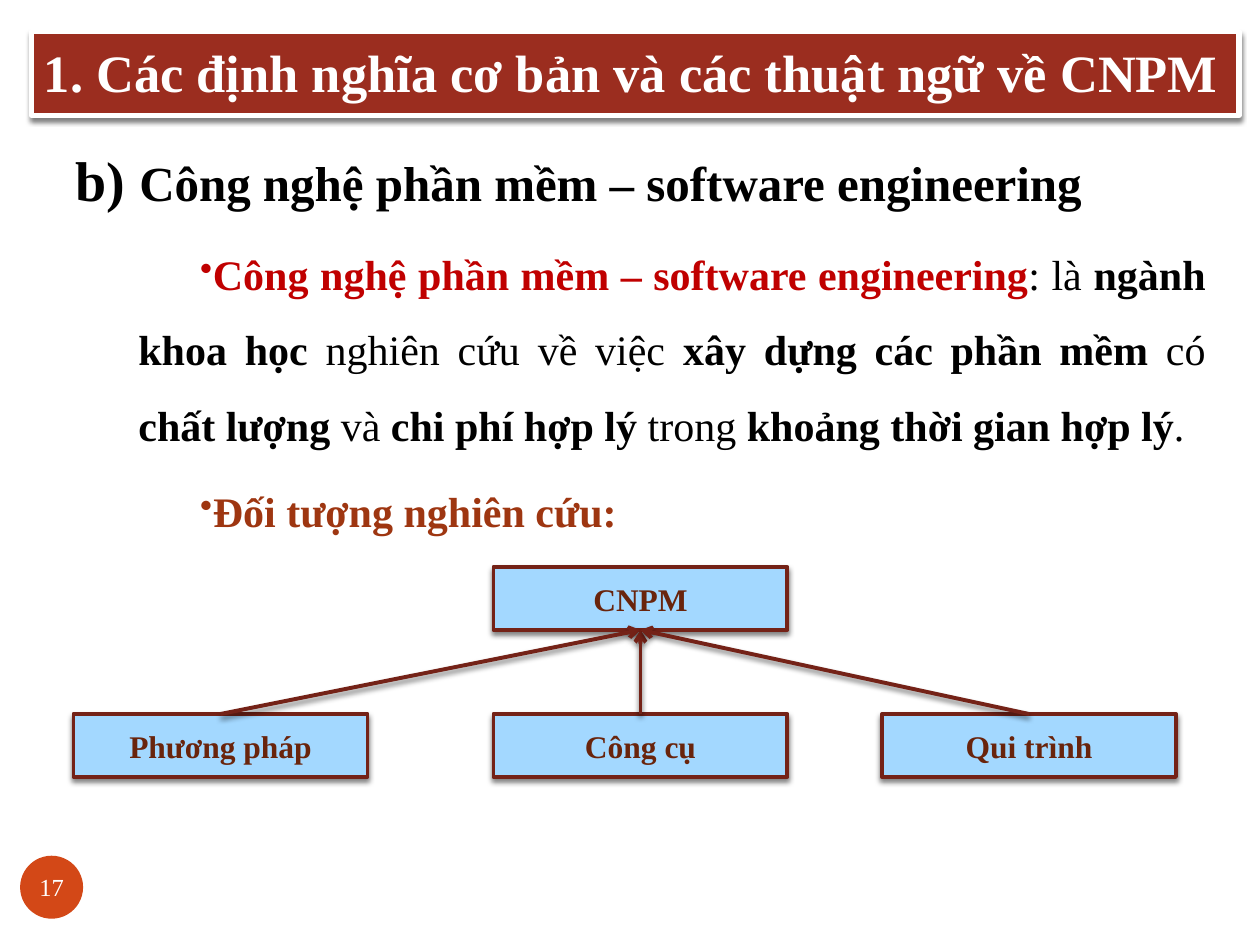
"""Build a slide that defines software engineering and shows its objects of study."""
from lxml import etree
from pptx import Presentation
from pptx import util as u
from pptx.dml.color import RGBColor
from pptx.enum import shapes, text
from pptx.oxml import parse_xml
from pptx.oxml.ns import nsdecls, qn

FONT = "Times New Roman"
COLORS = {
    "title": "9B2D1F", "white": "FFFFFF", "black": "000000", "number": "D34817",
    "box": "A3D8FF", "border": "742217", "label": "69240C", "term": "C00000", "topic": "9E3611",
}
TITLE = "1. Các định nghĩa cơ bản và các thuật ngữ về CNPM"
PAGE_NUMBER = "17"
HEADING = [("b) ", 32, "black", True), ("Công nghệ phần mềm – software engineering", 28, "black", True)]
DEFINITION = [("Công nghệ phần mềm – software engineering", 24, "term", True)] + [
    (words, 24, "black", bold) for words, bold in [
        (": là ", False), ("ngành khoa học", True), (" nghiên cứu về việc ", False),
        ("xây dựng các phần mềm", True), (" có ", False), ("chất lượng", True),
        (" và ", False), ("chi phí hợp lý", True), (" trong ", False),
        ("khoảng thời gian hợp lý", True), (". ", False),
    ]
]
TOPIC = [("Đối tượng nghiên cứu:", 24, "topic", True)]
BODY = [
    (HEADING, -36, False, {"line_spacing": 1.2}),
    (DEFINITION, 35.28, True, {"line_spacing": 1.5, "space_before": u.Pt(5.8)}),
    (TOPIC, 35.28, True, {"line_spacing": 1.5, "space_before": u.Pt(5.8)}),
]
ROOT = "CNPM"
BRANCHES = [("Phương pháp", 42), ("Công cụ", 282), ("Qui trình", 504)]
BOX_WIDTH, BOX_HEIGHT = 168, 36
ROOT_LEFT, ROOT_TOP, BRANCH_TOP = 282, 324, 408
SHADOW = (
    f'<a:effectLst {nsdecls("a")}><a:outerShdw blurRad="{u.Pt(3)}" dist="{u.Pt(2)}" dir="5400000" '
    'algn="ctr" rotWithShape="0"><a:srgbClr val="000000"><a:alpha val="50000"/></a:srgbClr>'
    "</a:outerShdw></a:effectLst>"
)


def color(name):
    return RGBColor.from_string(COLORS[name])


def apply(target, values):
    for name, value in values.items():
        setattr(target, name, value)


def add_runs(paragraph, runs):
    for words, size, shade, bold in runs:
        run = paragraph.add_run()
        run.text = words
        apply(run.font, {"name": FONT, "size": u.Pt(size), "bold": bold})
        run.font.color.rgb = color(shade)


def set_line(shape, shade, width):
    shape.line.color.rgb = color(shade)
    shape.line.width = u.Pt(width)


def add_shadow(shape):
    shape.element.spPr.append(parse_xml(SHADOW))


def add_block(slide, kind, place, fill, line, runs, alignment, frame_values):
    shape = slide.shapes.add_shape(kind, *map(u.Pt, place))
    shape.fill.solid()
    shape.fill.fore_color.rgb = color(fill)
    if line:
        set_line(shape, *line)
        add_shadow(shape)
    else:
        shape.line.fill.background()
        shape.shadow.inherit = False
    apply(shape.text_frame, frame_values)
    paragraph = shape.text_frame.paragraphs[0]
    paragraph.alignment = alignment
    add_runs(paragraph, runs)


def add_box(slide, label, left, top):
    add_block(slide, shapes.MSO_SHAPE.RECTANGLE, (left, top, BOX_WIDTH, BOX_HEIGHT), "box",
              ("border", 2.25), [(label, 18, "label", True)], text.PP_ALIGN.CENTER,
              {"vertical_anchor": text.MSO_ANCHOR.MIDDLE, "word_wrap": True})


def add_arrow(slide, start, end):
    arrow = slide.shapes.add_connector(shapes.MSO_CONNECTOR.STRAIGHT, *map(u.Pt, start + end))
    set_line(arrow, "border", 2.25)
    etree.SubElement(arrow.element.spPr.find(qn("a:ln")), qn("a:tailEnd"), type="arrow")
    add_shadow(arrow)


def add_body(slide):
    frame = slide.shapes.add_textbox(*map(u.Pt, (36, 72, 660, 438))).text_frame
    frame.word_wrap = True
    for index, (runs, indent, bullet, values) in enumerate(BODY):
        paragraph = frame.add_paragraph() if index else frame.paragraphs[0]
        properties = paragraph._p.get_or_add_pPr()
        properties.set("marL", str(u.Pt(36)))
        properties.set("indent", str(u.Pt(indent)))
        if bullet:
            etree.SubElement(properties, qn("a:buSzPct"), val="85000")
            etree.SubElement(properties, qn("a:buChar"), char="•")
        apply(paragraph, {"alignment": text.PP_ALIGN.JUSTIFY, **values})
        add_runs(paragraph, runs)


def main():
    presentation = Presentation()
    apply(presentation, {"slide_width": u.Pt(720), "slide_height": u.Pt(540)})
    slide = presentation.slides.add_slide(presentation.slide_layouts[6])
    add_block(slide, shapes.MSO_SHAPE.RECTANGLE, (18, 18, 690, 48), "title", ("white", 3),
              [(TITLE, 30, "white", True)], text.PP_ALIGN.LEFT,
              {"vertical_anchor": text.MSO_ANCHOR.BOTTOM, "margin_bottom": u.Pt(7.2),
               "word_wrap": True})
    margins = {f"margin_{side}": 0 for side in ("left", "top", "right", "bottom")}
    add_block(slide, shapes.MSO_SHAPE.OVAL, (11.5, 489, 36, 36), "number", None,
              [(PAGE_NUMBER, 14, "white", False)], text.PP_ALIGN.CENTER,
              {"vertical_anchor": text.MSO_ANCHOR.MIDDLE, "word_wrap": False, **margins})
    add_body(slide)
    add_box(slide, ROOT, ROOT_LEFT, ROOT_TOP)
    for label, left in BRANCHES:
        add_box(slide, label, left, BRANCH_TOP)
    for _, left in BRANCHES:
        add_arrow(slide, (left + BOX_WIDTH / 2, BRANCH_TOP),
                  (ROOT_LEFT + BOX_WIDTH / 2, ROOT_TOP + BOX_HEIGHT))
    presentation.save("out.pptx")


if __name__ == "__main__":
    main()
